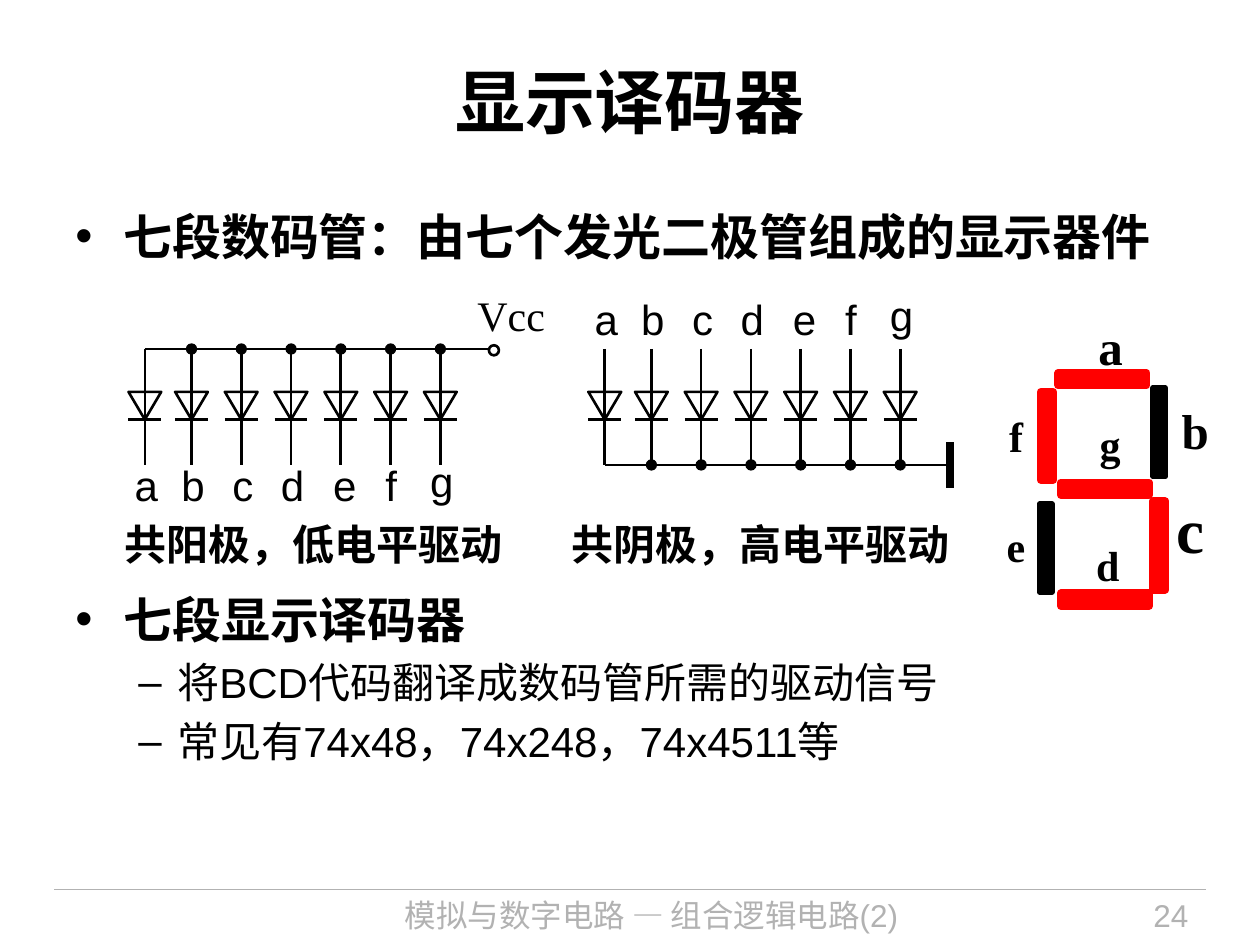
from dataclasses import dataclass
from lxml.etree import SubElement
from pptx import Presentation
from pptx.dml.color import RGBColor
from pptx.enum.shapes import MSO_CONNECTOR, MSO_SHAPE
from pptx.enum.text import MSO_ANCHOR, PP_ALIGN
from pptx.oxml.ns import qn
from pptx.util import Inches, Pt


@dataclass(frozen=True)
class Theme:
    ink: str = "000000"
    lit: str = "FF0000"
    muted: str = "B2B2B2"
    sans: str = "Arial"
    serif: str = "Times New Roman"
    title: int = 40
    large: int = 36
    body: int = 28
    small: int = 24
    footer: int = 18


theme = Theme()


def add_text(shapes, box, text, size, bold=False, font=theme.sans, color=theme.ink,
             align=PP_ALIGN.LEFT, wrap=True):
    frame = shapes.add_textbox(*map(Inches, box)).text_frame
    frame.word_wrap = wrap
    frame.text = text
    for para in frame.paragraphs:
        para.alignment = align
        for span in para.runs:
            span.font.size = Pt(size)
            span.font.bold = bold
            span.font.name = font
            span.font.color.rgb = RGBColor.from_string(color)
    return frame


def add_line(shapes, start, end, width=1.5, color=theme.ink):
    line = shapes.add_connector(MSO_CONNECTOR.STRAIGHT, *map(Inches, start + end))
    line.line.width = Pt(width)
    line.line.color.rgb = RGBColor.from_string(color)
    SubElement(line._element.spPr, qn("a:effectLst"))


deck = Presentation()
deck.slide_width, deck.slide_height = Inches(10), Inches(7.5)
page = deck.slides.add_slide(deck.slide_layouts[6])

footer_top = 7.06
add_line(page.shapes, (0.43, footer_top), (9.57, footer_top), 0.75, theme.muted)
add_text(page.shapes, (2.49, footer_top, 5.36, 0.44), "模拟与数字电路 — 组合逻辑电路(2)",
         theme.footer, color=theme.muted, align=PP_ALIGN.CENTER)
add_text(page.shapes, (8.2, footer_top, 1.33, 0.44), "24",
         theme.footer, color=theme.muted, align=PP_ALIGN.RIGHT)

title = add_text(page.shapes, (0.5, 0.17, 9, 1.25), "显示译码器", theme.title, True,
                 align=PP_ALIGN.CENTER)
title.vertical_anchor = MSO_ANCHOR.MIDDLE

bullet_blocks = [
    (1.59, 0.6, [("七段数码管：由七个发光二极管组成的显示器件", 0)]),
    (4.63, 1.6, [("七段显示译码器", 0),
                 ("将BCD代码翻译成数码管所需的驱动信号", 1),
                 ("常见有74x48，74x248，74x4511等", 1)]),
]
bullet_styles = [("•", 0.38, 0.38, theme.body, True), ("–", 0.81, 0.31, theme.small, False)]
for top, height, items in bullet_blocks:
    frame = add_text(page.shapes, (0.5, top, 9, height),
                     "\n".join(text for text, level in items), theme.body)
    for para, (text, level) in zip(frame.paragraphs, items):
        sign, margin, hanging, size, bold = bullet_styles[level]
        para.level = level
        para.space_before = Pt(size * 0.2)
        para.runs[0].font.size = Pt(size)
        para.runs[0].font.bold = bold
        properties = para._p.get_or_add_pPr()
        properties.set("marL", str(Inches(margin)))
        properties.set("indent", str(-Inches(hanging)))
        SubElement(properties, qn("a:buFont")).set("typeface", theme.sans)
        SubElement(properties, qn("a:buChar")).set("char", sign)

marks = []
upper_rail, lower_rail = 2.77, 3.69
diode_top, diode_bottom = 3.11, 3.33
half_diode, dot = 0.13, 0.08
label_shifts = [0.18, 0.18, 0.17, 0.18, 0.16, 0.14, 0.18]
diode_columns = [0] + [0.37 + 0.395 * step for step in range(6)]
circuits = [
    (1.15, upper_rail, 3.6, 0.89, "共阳极，低电平驱动"),
    (4.8, lower_rail, 2.28, 4.44, "共阴极，高电平驱动"),
]
for left, rail, label_top, caption_left, caption in circuits:
    circuit = page.shapes.add_group_shape().shapes
    add_text(circuit, (caption_left, 4.07, 3.35, 0.5), caption, theme.small, True)
    add_line(circuit, (left, rail), (left + 2.73, rail))
    for index, (letter, column) in enumerate(zip("abcdefg", diode_columns)):
        x = left + column
        add_line(circuit, (x, upper_rail), (x, lower_rail))
        add_line(circuit, (x - half_diode, diode_bottom), (x + half_diode, diode_bottom))
        marks.append((circuit, MSO_SHAPE.FLOWCHART_MERGE,
                      (x - half_diode, diode_top, 2 * half_diode, diode_bottom - diode_top),
                      None, theme.ink, 1.5))
        if index:
            marks.append((circuit, MSO_SHAPE.OVAL, (x - dot / 2, rail - dot / 2, dot, dot),
                          theme.ink, theme.ink, 0.75))
        label_y = label_top - (0.03 if letter == "g" else 0)
        add_text(circuit, (x - label_shifts[index], label_y, 0.39, 0.5), letter,
                 theme.small, wrap=False)
    if rail == upper_rail:
        add_text(circuit, (3.69, 2.25, 0.74, 0.5), "Vcc", theme.small,
                 font=theme.serif, wrap=False)
        marks.append((circuit, MSO_SHAPE.OVAL, (3.88, 2.74, dot, dot), None, theme.ink, 1.5))
    else:
        add_line(circuit, (7.54, 3.51), (7.54, 3.87), 4.5)

digit = page.shapes.add_group_shape().shapes
thick, long = 0.1, 0.7
segments = [
    ("a", 8.4, 2.96, True, True, (8.62, 2.46, 0.27, 0.57), theme.body),
    ("b", 9.15, 3.08, False, False, (9.28, 3.13, 0.37, 0.57), theme.body),
    ("c", 9.15, 3.98, False, True, (9.24, 3.84, 0.33, 0.7), theme.large),
    ("d", 8.42, 4.71, True, True, (8.6, 4.23, 0.32, 0.5), theme.small),
    ("e", 8.25, 4, False, False, (7.89, 4.08, 0.23, 0.5), theme.small),
    ("f", 8.26, 3.11, False, True, (7.91, 3.21, 0.31, 0.5), theme.small),
    ("g", 8.42, 3.83, True, True, (8.63, 3.27, 0.27, 0.5), theme.small),
]
for letter, left, top, level, lit, label_box, size in segments:
    extent = (long, thick) if level else (thick, long)
    color = theme.lit if lit else theme.ink
    marks.append((digit, MSO_SHAPE.RECTANGLE, (left, top) + extent, color, color,
                  4.5 if lit else 3))
    add_text(digit, label_box, letter, size, True, theme.serif)

for shapes, kind, box, fill, outline, width in marks:
    mark = shapes.add_shape(kind, *map(Inches, box))
    mark.shadow.inherit = False
    mark.line.color.rgb = RGBColor.from_string(outline)
    mark.line.width = Pt(width)
    if fill:
        mark.fill.solid()
        mark.fill.fore_color.rgb = RGBColor.from_string(fill)
    else:
        mark.fill.background()

deck.save("out.pptx")
